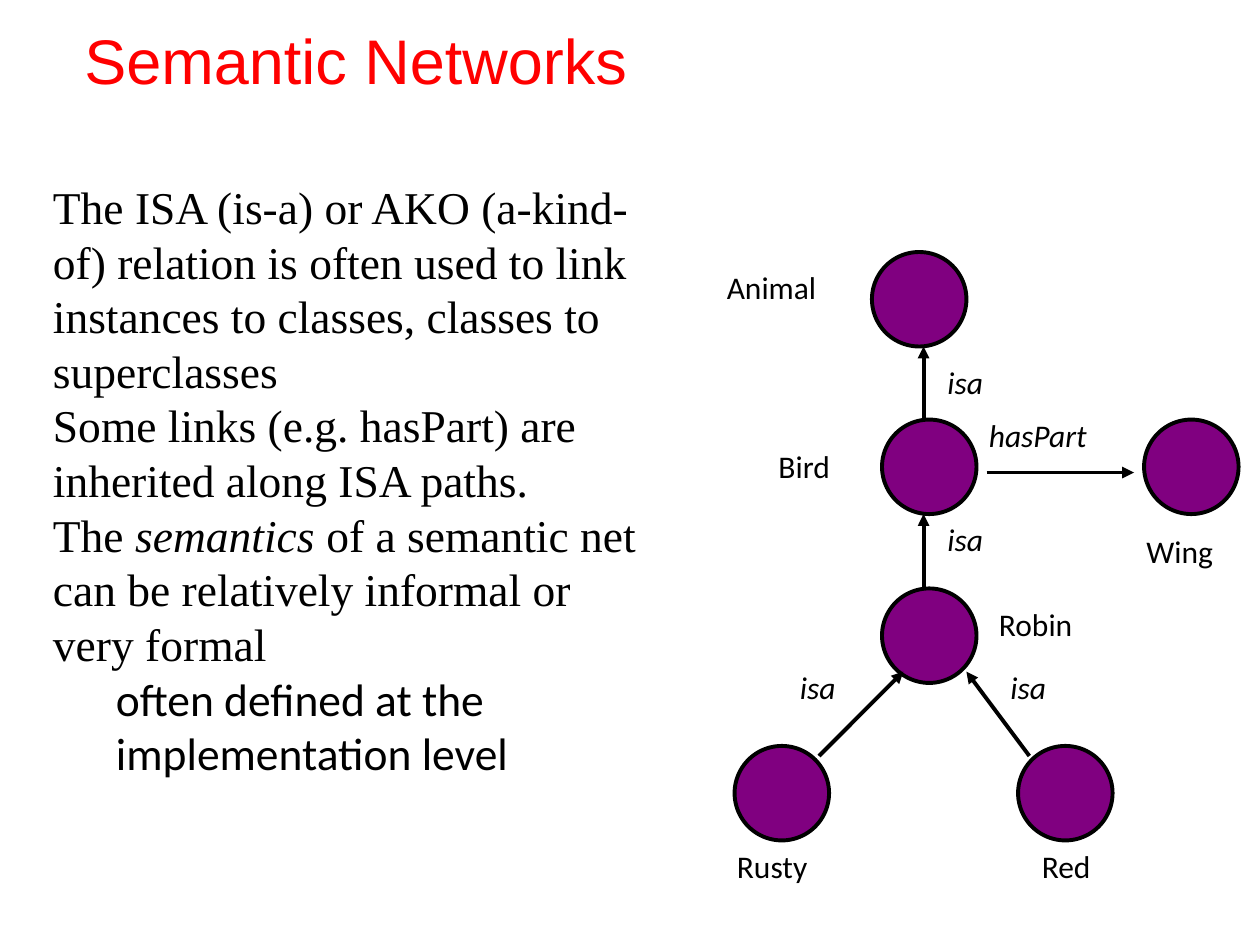
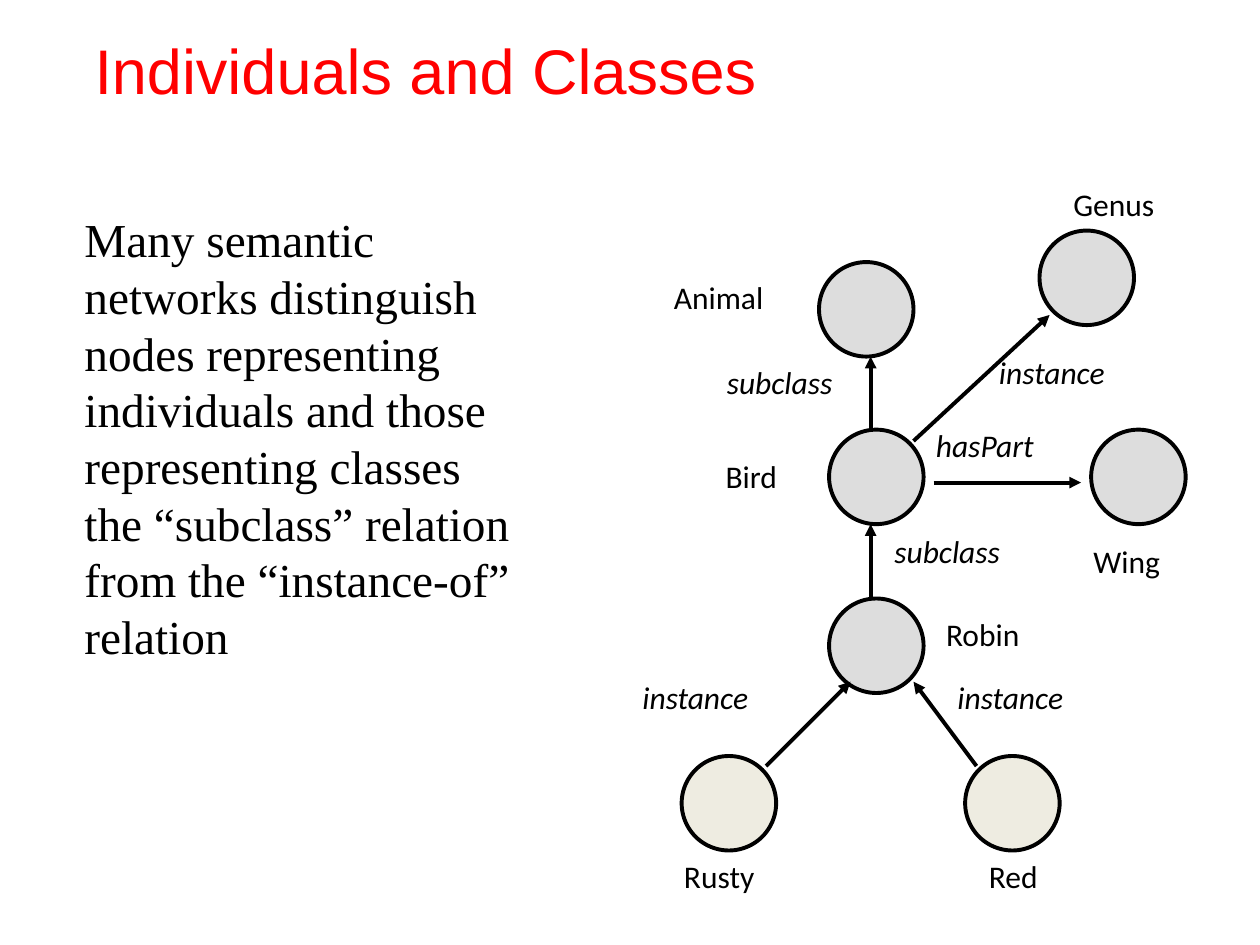
from dataclasses import dataclass

from lxml import etree
from pptx import Presentation
from pptx.dml.color import RGBColor
from pptx.enum import shapes, text
from pptx.oxml import ns
from pptx.util import Inches, Pt


@dataclass(frozen=True)
class Theme:
    title_color: str = "FF0000"
    ink: str = "000000"
    title_font: str = "Arial"
    body_font: str = "Times New Roman"
    label_font: str = "Calibri"
    title_size: int = 36
    label_size: int = 18
    line_width: float = 2.25
    line_spacing: float = 1.2
    node_size: float = 0.75
    label_height: float = 0.5


THEME = Theme()

# Network shared by both slides: node name -> (node corner, label corner)
NODES = {
    "Animal": ((6.92, 2), (5.67, 2.08)),
    "Bird": ((7, 3.33), (6.08, 3.5)),
    "Robin": ((7, 4.67), (7.83, 4.75)),
    "Rusty": ((5.83, 5.92), (5.75, 6.67)),
    "Red": ((8.08, 5.92), (8.17, 6.67)),
    "Wing": ((9.08, 3.33), (9, 4.17)),
}
GENUS = {"Genus": ((8.67, 1.75), (8.84, 1.34))}
INDIVIDUALS = ("Rusty", "Red")

# Arrows: (start, end)
LINKS = [
    ((7.33, 3.33), (7.33, 2.75)),  # Bird to Animal
    ((7.33, 4.67), (7.33, 4.08)),  # Robin to Bird
    ((6.5, 6), (7.17, 5.33)),      # Rusty to Robin
    ((8.17, 6), (7.67, 5.33)),     # Red to Robin
    ((7.83, 3.75), (9, 3.75)),     # Bird to Wing
]
GENUS_LINK = ((7.67, 3.42), (8.75, 2.42))
HAS_PART = ("hasPart", (7.75, 3.25))

LABEL_WIDTHS = {
    "Animal": 1.2, "Bird": 0.79, "Robin": 1.02, "Rusty": 0.98, "Red": 0.74,
    "Wing": 0.94, "Genus": 1.05, "isa": 0.59, "hasPart": 1.26,
    "subclass": 1.33, "instance": 1.31,
}

# Body paragraphs: (level, [(words, italic), ...])
SLIDES = [
    {
        "title": "Semantic Networks",
        "title_at": (0.67, 0.17, 8.5, 1.25),
        "body_at": (0.42, 1.42, 4.83, 5.83),
        "body_size": 26,
        "body": [
            (0, [("The ISA (is-a) or AKO (a-kind-of) relation is often used to link "
                  "instances to classes, classes to superclasses", False)]),
            (0, [("Some links (e.g. hasPart) are inherited along ISA paths.", False)]),
            (0, [("The ", False), ("semantics", True),
                 (" of a semantic net can be relatively informal or very formal", False)]),
            (1, [("often defined at the implementation level", False)]),
        ],
        "shift": (0, 0),
        "class_fill": "800080",
        "individual_fill": "800080",
        "nodes": NODES,
        "links": LINKS,
        "link_labels": [("isa", (7.42, 2.83)), ("isa", (7.42, 4.08)),
                        ("isa", (7.92, 5.25)), ("isa", (6.25, 5.25)), HAS_PART],
    },
    {
        "title": "Individuals and Classes",
        "title_at": (0.75, 0.25, 8.5, 1.25),
        "body_at": (0.67, 1.67, 3.75, 5.33),
        "body_size": 27,
        "body": [
            (0, [("Many semantic networks distinguish", False)]),
            (0, [("nodes representing individuals and those representing classes", False)]),
            (0, [("the “subclass” relation from the “instance-of” relation", False)]),
        ],
        "shift": (-0.42, 0.08),
        "class_fill": "DDDDDD",
        "individual_fill": "EEECE1",
        "nodes": {**NODES, **GENUS},
        "links": LINKS + [GENUS_LINK],
        "link_labels": [("subclass", (6.09, 2.75)), ("subclass", (7.42, 4.09)),
                        ("instance", (7.92, 5.25)), ("instance", (5.42, 5.25)),
                        HAS_PART, ("instance", (8.25, 2.67))],
    },
]


# Text helpers
def style_run(span, font, size, color=THEME.ink, italic=False):
    span.font.name = font
    span.font.size = Pt(size)
    span.font.color.rgb = RGBColor.from_string(color)
    span.font.italic = italic


def style_para(para, size, indent=0):
    para.alignment = text.PP_ALIGN.LEFT
    para.line_spacing = Pt(size * THEME.line_spacing)
    para.space_before = para.space_after = Pt(0)
    props = para._p.get_or_add_pPr()
    props.set("marL", str(Inches(indent)))
    props.set("indent", "0")
    etree.SubElement(props, ns.qn("a:buNone"))


def place_holder(box, at):
    box.left, box.top, box.width, box.height = map(Inches, at)
    frame = box.text_frame
    frame.margin_left = frame.margin_right = frame.margin_top = frame.margin_bottom = 0
    frame.vertical_anchor = text.MSO_ANCHOR.TOP
    frame.auto_size = text.MSO_AUTO_SIZE.NONE
    frame.word_wrap = True
    return frame


def fill_title(page, content):
    frame = place_holder(page.shapes.title, content["title_at"])
    frame.text = content["title"]
    para = frame.paragraphs[0]
    style_para(para, THEME.title_size)
    style_run(para.runs[0], THEME.title_font, THEME.title_size, THEME.title_color)


def fill_body(page, content):
    frame = place_holder(page.placeholders[1], content["body_at"])
    size = content["body_size"]
    for number, (level, spans) in enumerate(content["body"]):
        para = frame.add_paragraph() if number else frame.paragraphs[0]
        para.level = level
        style_para(para, size, indent=0.5 * level)
        font = THEME.label_font if level else THEME.body_font
        for words, italic in spans:
            span = para.add_run()
            span.text = words
            style_run(span, font, size, italic=italic)


# Network parts
def add_node(page, corner, fill):
    side = Inches(THEME.node_size)
    node = page.shapes.add_shape(shapes.MSO_SHAPE.OVAL, *map(Inches, corner), side, side)
    node.shadow.inherit = False
    node.fill.solid()
    node.fill.fore_color.rgb = RGBColor.from_string(fill)
    node.line.color.rgb = RGBColor.from_string(THEME.ink)
    node.line.width = Pt(THEME.line_width)


def add_link(page, start, end):
    link = page.shapes.add_connector(shapes.MSO_CONNECTOR.STRAIGHT,
                                     *map(Inches, start + end))
    link.line.color.rgb = RGBColor.from_string(THEME.ink)
    link.line.width = Pt(THEME.line_width)
    etree.SubElement(link.line._get_or_add_ln(), ns.qn("a:tailEnd"), type="triangle")
    etree.SubElement(link._element.spPr, ns.qn("a:effectLst"))


def add_label(page, words, corner, italic=False):
    box = page.shapes.add_textbox(*map(Inches, corner), Inches(LABEL_WIDTHS[words]),
                                  Inches(THEME.label_height))
    frame = box.text_frame
    frame.word_wrap = True
    frame.text = words
    style_run(frame.paragraphs[0].runs[0], THEME.label_font, THEME.label_size, italic=italic)


def draw_network(page, content):
    across, down = content["shift"]

    def moved(point):
        return point[0] + across, point[1] + down

    for name, (corner, label_corner) in content["nodes"].items():
        kind = "individual_fill" if name in INDIVIDUALS else "class_fill"
        add_node(page, moved(corner), content[kind])
        add_label(page, name, moved(label_corner))
    for start, end in content["links"]:
        add_link(page, moved(start), moved(end))
    for words, corner in content["link_labels"]:
        add_label(page, words, moved(corner), italic=True)


def main():
    deck = Presentation()
    deck.slide_width, deck.slide_height = Inches(10), Inches(7.5)
    for content in SLIDES:
        page = deck.slides.add_slide(deck.slide_layouts[1])
        fill_title(page, content)
        fill_body(page, content)
        draw_network(page, content)
    deck.save("out.pptx")


if __name__ == "__main__":
    main()
